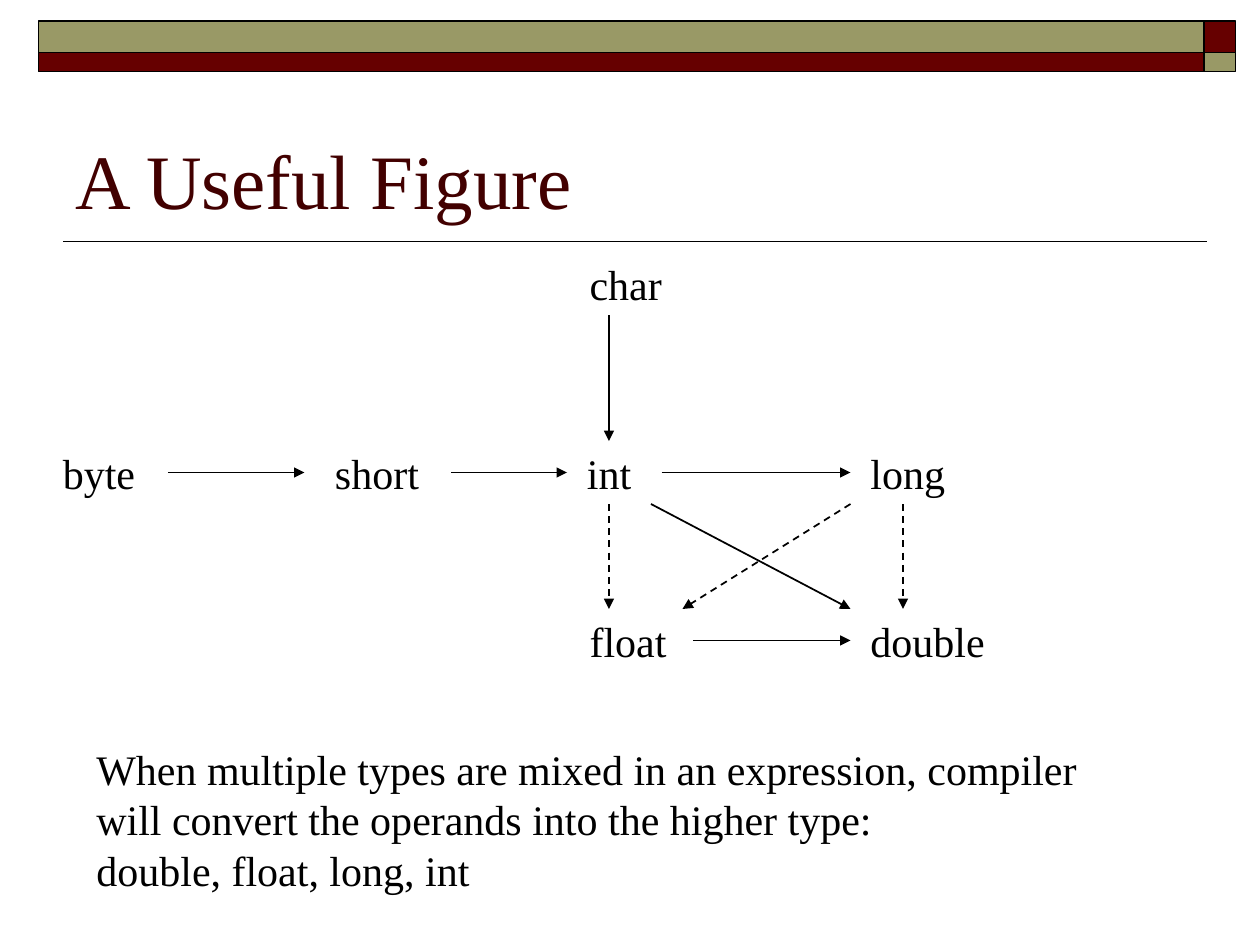
from dataclasses import dataclass
from typing import NamedTuple

from lxml.etree import SubElement
from pptx import Presentation
from pptx.dml.color import RGBColor
from pptx.enum.dml import MSO_LINE_DASH_STYLE as Dash
from pptx.enum.shapes import MSO_CONNECTOR as Connector, MSO_SHAPE as Shape
from pptx.enum.text import MSO_ANCHOR as Anchor, MSO_AUTO_SIZE as AutoSize, PP_ALIGN as Align
from pptx.oxml.ns import qn
from pptx.util import Pt


@dataclass(frozen=True)
class Theme:
    """Colours, font and type sizes of the deck."""
    ink: RGBColor = RGBColor(0, 0, 0)
    title: RGBColor = RGBColor(0x42, 0, 0)
    maroon: RGBColor = RGBColor(0x66, 0, 0)
    olive: RGBColor = RGBColor(0x99, 0x99, 0x66)
    font: str = "Times New Roman"
    title_size: float = 44
    text_size: float = 24
    leading: float = 1.2
    stroke: float = 1


class Box(NamedTuple):
    """A rectangle in points."""
    left: float
    top: float
    width: float
    height: float

    def inner(self, left, top, width, height):
        """Return a box placed relative to this one."""
        return Box(self.left + left, self.top + top, width, height)

    def lengths(self):
        """Return the four measures as lengths."""
        return [Pt(value) for value in self]


THEME = Theme()
BANNER = Box(22, 12, 684, 29)
TITLE = Box(36, 42, 648, 90)
DIAGRAM = Box(24, 144, 550, 240)
NOTE = Box(48, 421.2, 612, 93.6)

LABELS = [
    ("byte", 4.8, 108, 56),
    ("short", 160.3, 108, 63),
    ("int", 304.3, 108, 40),
    ("long", 466.3, 108, 58),
    ("double", 466.3, 204, 80),
    ("float", 305.8, 204, 59),
    ("char", 305.8, 0, 56),
]
SAFE_ARROWS = [
    (72, 126, 150, 126),
    (234, 126, 300, 126),
    (324, 36, 324, 108),
    (354, 126, 462, 126),
    (372, 222, 462, 222),
    (348, 144, 462, 204),
]
LOSSY_ARROWS = [
    (324, 144, 324, 204),
    (462, 144, 366, 204),
    (492, 144, 492, 204),
]


def write_text(frame, *lines, size=THEME.text_size, color=THEME.ink, wrap=True,
               anchor=Anchor.TOP, fit=AutoSize.NONE):
    """Fill a text frame with one paragraph for each line."""
    frame.auto_size = fit
    frame.word_wrap = wrap
    frame.vertical_anchor = anchor
    for index, line in enumerate(lines):
        para = frame.add_paragraph() if index else frame.paragraphs[0]
        para.alignment = Align.LEFT
        para.line_spacing = Pt(size * THEME.leading)
        span = para.add_run()
        span.text = line
        span.font.name = THEME.font
        span.font.size = Pt(size)
        span.font.color.rgb = color


def add_block(page, box, color):
    """Draw one outlined block of the banner."""
    block = page.shapes.add_shape(Shape.RECTANGLE, *box.lengths())
    block.shadow.inherit = False
    block.fill.solid()
    block.fill.fore_color.rgb = color
    block.line.color.rgb = THEME.ink
    block.line.width = Pt(THEME.stroke)


def add_line(page, box, ends, arrow=False, dashed=False):
    """Draw a straight line between two points of a box."""
    x1, y1, x2, y2 = ends
    points = (box.left + x1, box.top + y1, box.left + x2, box.top + y2)
    line = page.shapes.add_connector(Connector.STRAIGHT, *map(Pt, points))
    line.line.color.rgb = THEME.ink
    line.line.width = Pt(THEME.stroke)
    if dashed:
        line.line.dash_style = Dash.DASH
    if arrow:
        SubElement(line.line._get_or_add_ln(), qn("a:tailEnd"), type="triangle")
    SubElement(line._element.spPr, qn("a:effectLst"))


def build_banner(page, box):
    """Draw the two bands with their square ends in swapped colours."""
    end, upper = 18, 18
    band = box.width - end
    lower = box.height - upper
    for top, height, main, accent in (
        (0, upper, THEME.olive, THEME.maroon),
        (upper, lower, THEME.maroon, THEME.olive),
    ):
        add_block(page, box.inner(band, top, end, height), accent)
        add_block(page, box.inner(0, top, band, height), main)


def build_title(page, box, text):
    """Place the title with the rule below it."""
    title = page.shapes.title
    title.left, title.top, title.width, title.height = box.lengths()
    write_text(title.text_frame, text, size=THEME.title_size, color=THEME.title,
               anchor=Anchor.BOTTOM)
    rule = box.height + 6
    add_line(page, box, (0, rule, box.width + 6, rule))


def build_diagram(page, box):
    """Draw the type names and the conversions between them."""
    for name, left, top, width in LABELS:
        label = page.shapes.add_textbox(*box.inner(left, top, width, 36).lengths())
        write_text(label.text_frame, name, wrap=False, fit=AutoSize.SHAPE_TO_FIT_TEXT)
    for arrows, dashed in ((SAFE_ARROWS, False), (LOSSY_ARROWS, True)):
        for ends in arrows:
            add_line(page, box, ends, arrow=True, dashed=dashed)


def build_note(page, box, *lines):
    """Place the explanation below the diagram."""
    note = page.shapes.add_textbox(*box.lengths())
    write_text(note.text_frame, *lines, fit=AutoSize.SHAPE_TO_FIT_TEXT)


def main():
    """Build the deck and save it."""
    deck = Presentation()
    deck.slide_width, deck.slide_height = Pt(720), Pt(540)
    page = deck.slides.add_slide(deck.slide_layouts.get_by_name("Title Only"))
    build_banner(page, BANNER)
    build_title(page, TITLE, "A Useful Figure")
    build_diagram(page, DIAGRAM)
    build_note(
        page, NOTE,
        "When multiple types are mixed in an expression, compiler "
        "will convert the operands into the higher type:",
        "double, float, long, int",
    )
    deck.save("out.pptx")


if __name__ == "__main__":
    main()
